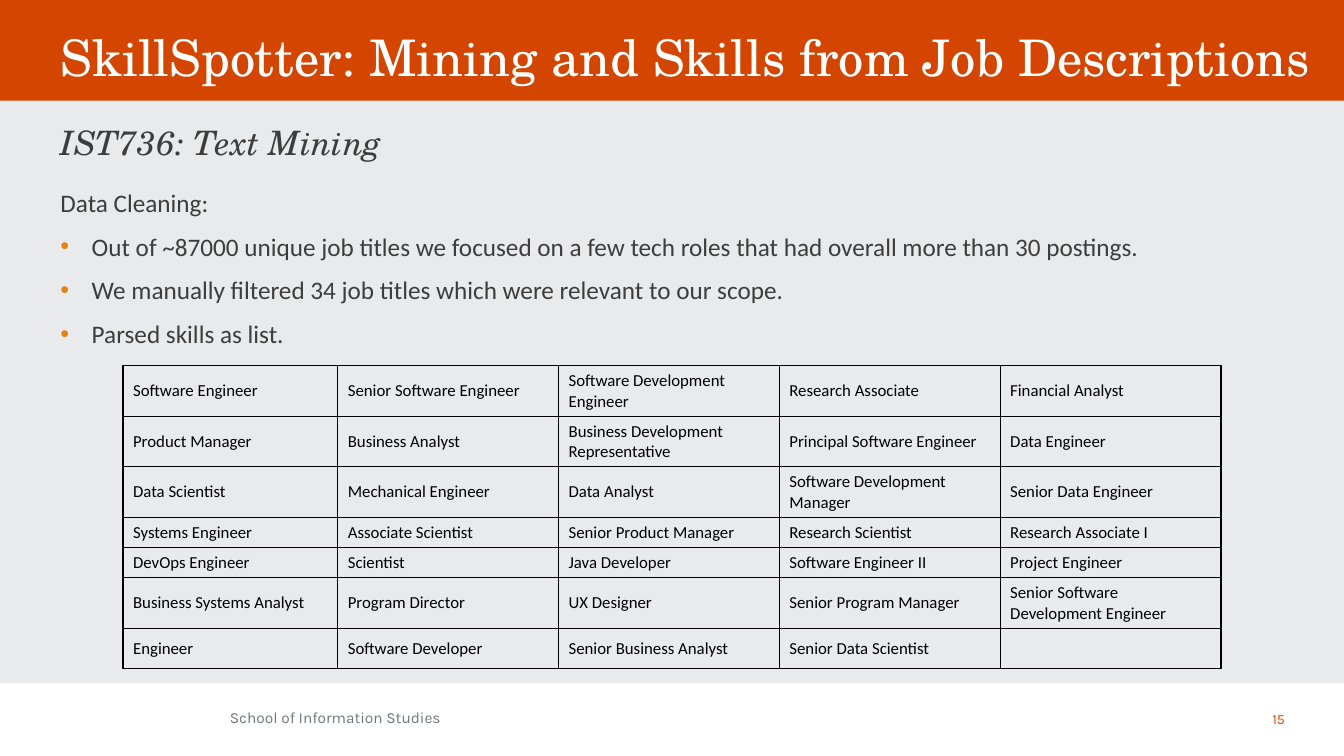
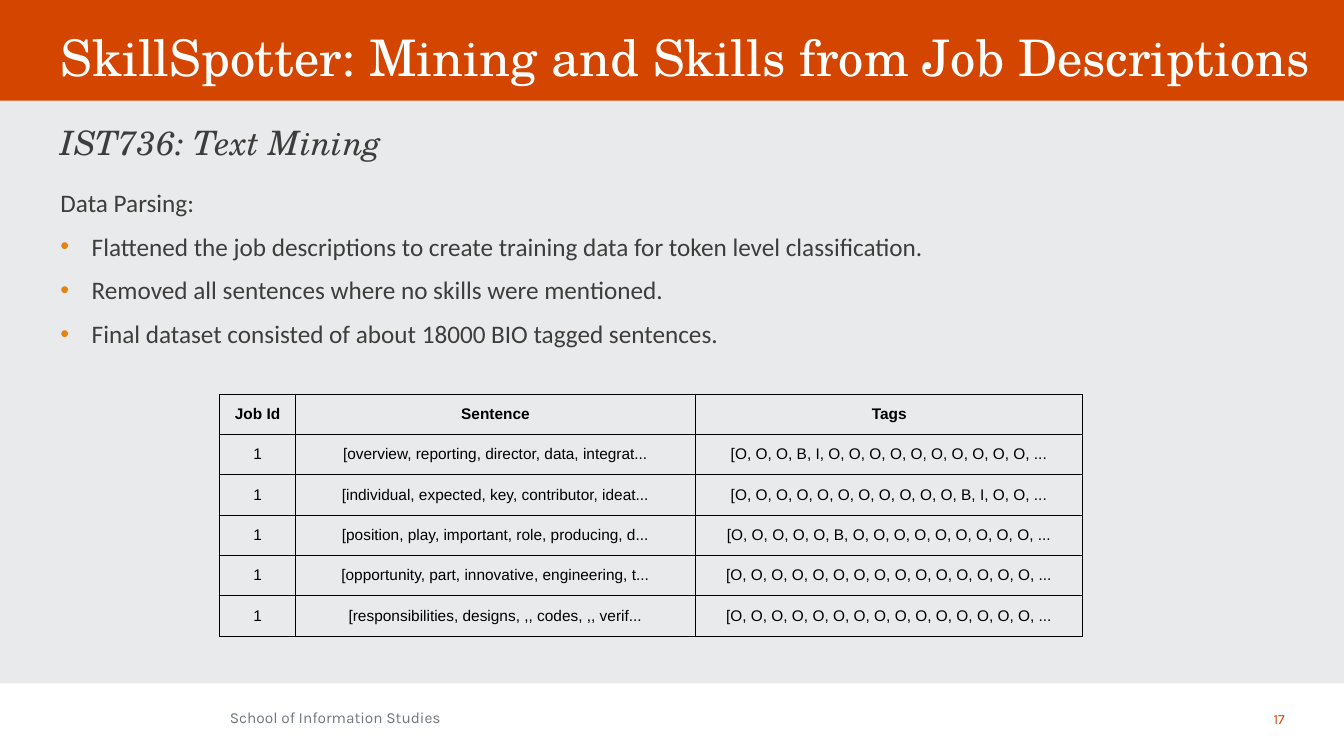
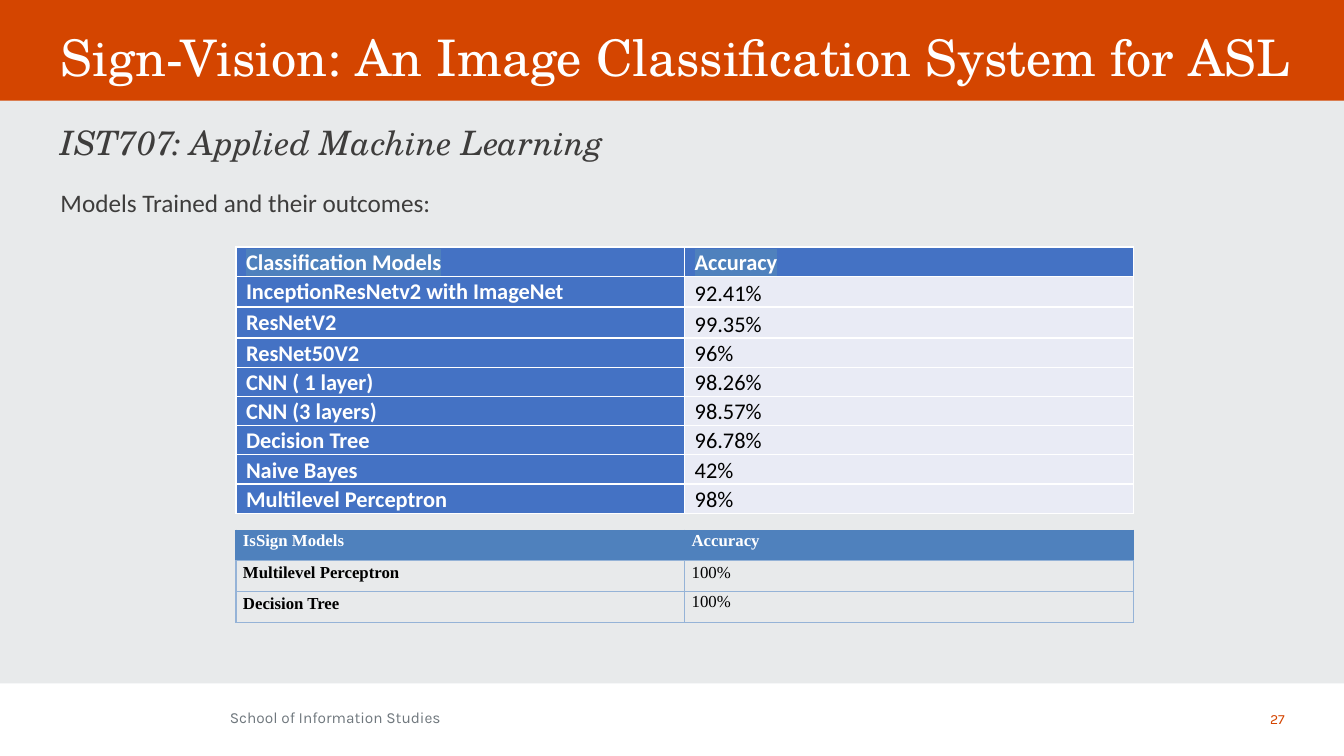
from lxml import etree
from pptx import Presentation
from pptx.dml.color import RGBColor
from pptx.enum.shapes import MSO_SHAPE
from pptx.enum.text import MSO_ANCHOR, MSO_AUTO_SIZE, PP_ALIGN
from pptx.oxml.ns import qn
from pptx.util import Inches, Pt

# Colours and fonts
ORANGE = RGBColor(0xD4, 0x45, 0x00)
BULLET = RGBColor(0xE4, 0x83, 0x12)
PAPER = RGBColor(0xE8, 0xEA, 0xEB)
WHITE = RGBColor(0xFF, 0xFF, 0xFF)
BLACK = RGBColor(0x00, 0x00, 0x00)
INK = RGBColor(0x3E, 0x3D, 0x3C)
GREY = RGBColor(0x6F, 0x77, 0x7D)
BLUE = RGBColor(0x44, 0x72, 0xC4)
STEEL = RGBColor(0x4F, 0x81, 0xBD)
SKY = RGBColor(0x95, 0xB3, 0xD7)
PALE = RGBColor(0xE9, 0xEB, 0xF5)
SERIF = "TeX Gyre Schola"

# Text styles
TITLE = dict(name=SERIF, size=36, color=WHITE, spacing=0.9)
COURSE = dict(name=SERIF, size=24, color=INK, bold=False, italic=True, spacing=0.9)
BODY = dict(name="Calibri", size=18, color=INK, spacing=1.07, after=8)
FOOTER = dict(name="Karla", size=11, color=GREY, bold=False, spacing=0.9)
NUMBER = dict(name="Karla", size=10, color=ORANGE, align=PP_ALIGN.RIGHT)

# Table styles: base, then first column, then first row
TITLES_LOOK = dict(base=dict(name="Calibri", size=12, color=BLACK, border=BLACK,
                             anchor=MSO_ANCHOR.MIDDLE))
TAGS_LOOK = dict(base=dict(name="Arial", size=11, color=BLACK, border=BLACK, width=0.6,
                           anchor=MSO_ANCHOR.MIDDLE, align=PP_ALIGN.CENTER),
                 row=dict(bold=True))
MODELS_LOOK = dict(base=dict(name="Calibri", size=16, color=BLACK, fill=PALE, border=WHITE,
                             spacing=1.07, margins=(0.1, 0)),
                   col=dict(color=WHITE, bold=True, fill=BLUE),
                   row=dict(color=WHITE, bold=True, fill=BLUE, highlight=STEEL))
SIGNS_LOOK = dict(base=dict(name="Times New Roman", size=12, color=BLACK, border=SKY,
                            spacing=1.07, margins=(0.07, 0)),
                  col=dict(bold=True),
                  row=dict(color=WHITE, bold=True, fill=STEEL, border=STEEL))


def write(p, text, fmt):
    """Put one formatted run into a paragraph."""
    p.alignment = fmt.get("align", PP_ALIGN.LEFT)
    p.line_spacing = fmt.get("spacing", 1.0)
    p.space_before, p.space_after = Pt(0), Pt(fmt.get("after", 0))
    r = p.add_run()
    r.text = text
    for key in ("name", "bold", "italic"):
        if key in fmt:
            setattr(r.font, key, fmt[key])
    r.font.size = Pt(fmt["size"])
    r.font.color.rgb = fmt["color"]
    if "highlight" in fmt:
        mark = etree.Element(qn("a:highlight"))
        etree.SubElement(mark, qn("a:srgbClr"), val=str(fmt["highlight"]))
        r.font._element.find(qn("a:solidFill")).addnext(mark)


def add_table(s, x, y, widths, heights, rows, look, loose=()):
    """Add a table; cells listed in loose get wider line spacing."""
    frame = s.shapes.add_table(len(rows), len(widths), Inches(x), Inches(y),
                               Inches(sum(widths)), Inches(sum(heights)))
    table = frame.table
    table.first_row = table.horz_banding = False
    for column, width in zip(table.columns, widths):
        column.width = Inches(width)
    for row, height in zip(table.rows, heights):
        row.height = Inches(height)
    for i, row in enumerate(rows):
        for j, text in enumerate(row):
            cell = table.cell(i, j)
            fmt = dict(look["base"])
            if j == 0:
                fmt.update(look.get("col", {}))
            if i == 0:
                fmt.update(look.get("row", {}))
            if (i, j) in loose:
                fmt["spacing"] = 1.15
            side, top = fmt.get("margins", (0.1, 0.05))
            cell.margin_left = cell.margin_right = Inches(side)
            cell.margin_top = cell.margin_bottom = Inches(top)
            cell.vertical_anchor = fmt.get("anchor", MSO_ANCHOR.TOP)
            tcPr = cell._tc.get_or_add_tcPr()
            for edge in ("a:lnL", "a:lnR", "a:lnT", "a:lnB"):
                ln = etree.SubElement(tcPr, qn(edge), w=str(Pt(fmt.get("width", 1))))
                fill = etree.SubElement(ln, qn("a:solidFill"))
                etree.SubElement(fill, qn("a:srgbClr"), val=str(fmt["border"]))
            if "fill" in fmt:
                cell.fill.solid()
                cell.fill.fore_color.rgb = fmt["fill"]
            else:
                cell.fill.background()
            if text:
                write(cell.text_frame.paragraphs[0], text, fmt)


prs = Presentation()
prs.slide_width, prs.slide_height = Inches(13.33), Inches(7.5)

# Layout: place the title, course, list and footer placeholders
layout = prs.slide_layouts[4]
BOXES = {0: (0.5, 0.28, 12.83, 0.69), 1: (0.5, 1.2, 11.42, 0.5),
         2: (0.5, 1.79, 11.42, 4.14), 3: (2.18, 6.93, 9.74, 0.4)}
for ph in list(layout.placeholders):
    idx = ph.placeholder_format.idx
    if idx in BOXES:
        ph.left, ph.top, ph.width, ph.height = map(Inches, BOXES[idx])
    else:
        ph._element.getparent().remove(ph._element)

# Slide contents
SKILLS = "SkillSpotter: Mining and Skills from Job Descriptions"
MINING = "IST736: Text Mining"
CONTENT = [
    (15, SKILLS, MINING, "Data Cleaning:",
     ["Out of ~87000 unique job titles we focused on a few tech roles that had overall "
      "more than 30 postings.",
      "We manually filtered 34 job titles which were relevant to our scope.",
      "Parsed skills as list."]),
    (17, SKILLS, MINING, "Data Parsing:",
     ["Flattened the job descriptions to create training data for token level classification.",
      "Removed all sentences where no skills were mentioned.",
      "Final dataset consisted of about 18000 BIO tagged sentences."]),
    (27, "Sign-Vision: An Image Classification System for ASL",
     "IST707: Applied Machine Learning", "Models Trained and their outcomes:", []),
]
slides = [prs.slides.add_slide(layout) for _ in CONTENT]

# Shared bands, drawn once and moved to the layout
BANDS = [(0, 7.5, PAPER), (0, 1, ORANGE), (6.78, 0.72, WHITE)]
for i, (top, height, color) in enumerate(BANDS):
    band = slides[0].shapes.add_shape(MSO_SHAPE.RECTANGLE, 0, Inches(top),
                                      prs.slide_width, Inches(height))
    band.shadow.inherit = False
    band.fill.solid()
    band.fill.fore_color.rgb = color
    band.line.fill.background()
    band._element.nvSpPr.cNvPr.id = 20 + i
    layout.shapes._spTree.insert(2 + i, band._element)

# Titles, lists, footers and slide numbers
for s, (number, title, course, lead, bullets) in zip(slides, CONTENT):
    box = {ph.placeholder_format.idx: ph.text_frame for ph in s.placeholders}
    for idx, tf in box.items():
        tf.auto_size = MSO_AUTO_SIZE.NONE
        tf.vertical_anchor = MSO_ANCHOR.MIDDLE if idx == 3 else MSO_ANCHOR.TOP
    write(box[0].paragraphs[0], title, TITLE)
    write(box[1].paragraphs[0], course, COURSE)
    write(box[3].paragraphs[0], "School of Information Studies", FOOTER)

    tf = box[2]
    for i, text in enumerate([lead] + bullets):
        p = tf.add_paragraph() if i else tf.paragraphs[0]
        pPr = p._p.get_or_add_pPr()
        indent = Inches(0.31) if i else 0
        pPr.set("marL", str(indent))
        pPr.set("indent", str(-indent))
        if i:
            color = etree.SubElement(pPr, qn("a:buClr"))
            etree.SubElement(color, qn("a:srgbClr"), val=str(BULLET))
            etree.SubElement(pPr, qn("a:buFont"), typeface="Arial")
            etree.SubElement(pPr, qn("a:buChar"), char="•")
        else:
            etree.SubElement(pPr, qn("a:buNone"))
        write(p, text, BODY)

    sp = s.shapes.add_textbox(Inches(11.92), Inches(6.93), Inches(0.92), Inches(0.4))
    sp.text_frame.word_wrap = True
    sp.text_frame.vertical_anchor = MSO_ANCHOR.MIDDLE
    write(sp.text_frame.paragraphs[0], str(number), NUMBER)

# Job titles table
add_table(slides[0], 1.22, 3.63, [2.13] + [2.19] * 4,
          [0.37, 0.37, 0.37, 0.23, 0.21, 0.37, 0.23], [
    ("Software Engineer", "Senior Software Engineer", "Software Development Engineer",
     "Research Associate", "Financial Analyst"),
    ("Product Manager", "Business Analyst", "Business Development Representative",
     "Principal Software Engineer", "Data Engineer"),
    ("Data Scientist", "Mechanical Engineer", "Data Analyst",
     "Software Development Manager", "Senior Data Engineer"),
    ("Systems Engineer", "Associate Scientist", "Senior Product Manager",
     "Research Scientist", "Research Associate I"),
    ("DevOps Engineer", "Scientist", "Java Developer",
     "Software Engineer II", "Project Engineer"),
    ("Business Systems Analyst", "Program Director", "UX Designer",
     "Senior Program Manager", "Senior Software Development Engineer"),
    ("Engineer", "Software Developer", "Senior Business Analyst",
     "Senior Data Scientist", ""),
], TITLES_LOOK)

# Tagged sentences table
add_table(slides[1], 2.18, 3.91, [0.75, 3.97, 3.84], [0.4] * 6, [
    ("Job Id", "Sentence", "Tags"),
    ("1", "[overview, reporting, director, data, integrat...",
     "[O, O, O, B, I, O, O, O, O, O, O, O, O, O, O, ..."),
    ("1", "[individual, expected, key, contributor, ideat...",
     "[O, O, O, O, O, O, O, O, O, O, O, B, I, O, O, ..."),
    ("1", "[position, play, important, role, producing, d...",
     "[O, O, O, O, O, B, O, O, O, O, O, O, O, O, O, ..."),
    ("1", "[opportunity, part, innovative, engineering, t...",
     "[O, O, O, O, O, O, O, O, O, O, O, O, O, O, O, ..."),
    ("1", "[responsibilities, designs, ,, codes, ,, verif...",
     "[O, O, O, O, O, O, O, O, O, O, O, O, O, O, O, ..."),
], TAGS_LOOK)

# Model accuracy tables
add_table(slides[2], 2.34, 2.45, [4.45] * 2, [0.29, 0.3, 0.3] + [0.29] * 6, [
    ("Classification Models", "Accuracy"),
    ("InceptionResNetv2 with ImageNet", "92.41%"),
    ("ResNetV2", "99.35%"),
    ("ResNet50V2", "96%"),
    ("CNN ( 1 layer)", "98.26%"),
    ("CNN (3 layers)", "98.57%"),
    ("Decision Tree", "96.78%"),
    ("Naive Bayes", "42%"),
    ("Multilevel Perceptron", "98%"),
], MODELS_LOOK, loose={(1, 1), (2, 1)})
add_table(slides[2], 2.34, 5.26, [4.45] * 2, [0.3, 0.31, 0.31], [
    ("IsSign Models", "Accuracy"),
    ("Multilevel Perceptron", "100%"),
    ("Decision Tree", "100%"),
], SIGNS_LOOK, loose={(1, 0), (1, 1), (2, 0)})

prs.save("out.pptx")
